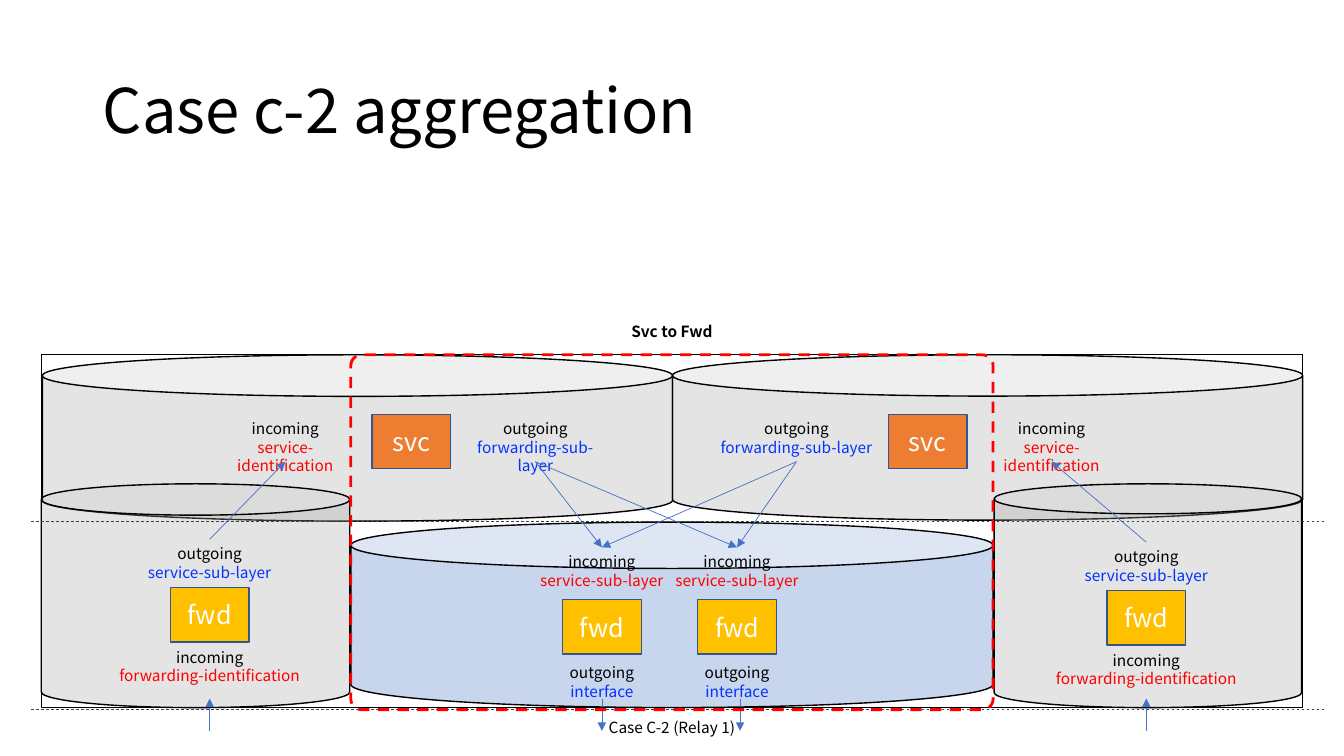
import pptx
import pptx.util
import pptx.dml.color
import pptx.enum.dml
import pptx.enum.shapes
import pptx.enum.text
import pptx.oxml
import pptx.oxml.ns

SHAPES = pptx.enum.shapes.MSO_SHAPE
ALIGN = pptx.enum.text.PP_ALIGN
ANCHOR = pptx.enum.text.MSO_ANCHOR
DASH = pptx.enum.dml.MSO_LINE.DASH
FONT = "Noto Sans CJK KR"
BLACK, WHITE, RED, BLUE = "000000", "FFFFFF", "FF0000", "0432FF"
GREY, CORE_BLUE, ARROW_BLUE, NODE_EDGE = "A5A5A5", "4472C4", "4472C4", "325491"
ORANGE, GOLD, LEVEL_GREY = "ED7D31", "FFC000", "404040"
NODE_WIDTH, NODE_HEIGHT, LABEL_HEIGHT = 7.8, 5.4, 4.7

deck = pptx.Presentation()
deck.slide_width = pptx.util.Inches(13.33)
deck.slide_height = pptx.util.Inches(7.5)
page = deck.slides.add_slide(deck.slide_layouts[5])


def grid(cells):
    """Length of a number of grid cells, each a tenth of an inch."""
    return pptx.util.Inches(cells / 10)


def color(value):
    return pptx.dml.color.RGBColor.from_string(value)


def style_text(para, size, fill, align=ALIGN.CENTER, bold=False):
    para.alignment = align
    for span in para.runs:
        span.font.name = FONT
        span.font.size = pptx.util.Pt(size)
        span.font.bold = bold
        span.font.color.rgb = color(fill)


def add_box(kind, box, line, width=1, fill=None, alpha=None, adjust=None, dash=None):
    shape = page.shapes.add_shape(kind, *map(grid, box))
    shape.shadow.inherit = False
    if adjust is not None:
        shape.adjustments[0] = adjust
    if fill is None:
        shape.fill.background()
    else:
        shape.fill.solid()
        shape.fill.fore_color.rgb = color(fill)
    if alpha is not None:
        tint = shape.fill._xPr.find(".//" + pptx.oxml.ns.qn("a:srgbClr"))
        tint.append(pptx.oxml.parse_xml(
            f'<a:alpha {pptx.oxml.ns.nsdecls("a")} val="{alpha * 1000}"/>'))
    shape.line.color.rgb = color(line)
    shape.line.width = pptx.util.Pt(width)
    if dash:
        shape.line.dash_style = dash
    return shape


def add_can(box, fill=GREY, adjust=0.25):
    add_box(SHAPES.CAN, box, BLACK, fill=fill, alpha=29, adjust=adjust)


def add_node(center, top, name, fill):
    box = (center - NODE_WIDTH / 2, top, NODE_WIDTH, NODE_HEIGHT)
    node = add_box(SHAPES.RECTANGLE, box, NODE_EDGE, fill=fill)
    node.text_frame.text = name
    node.text_frame.vertical_anchor = ANCHOR.MIDDLE
    style_text(node.text_frame.paragraphs[0], 18, WHITE)


def add_label(center, top, width, lines, colors, bold=False, height=LABEL_HEIGHT):
    label = page.shapes.add_textbox(*map(grid, (center - width / 2, top, width, height)))
    frame = label.text_frame
    frame.word_wrap = True
    frame.auto_size = pptx.enum.text.MSO_AUTO_SIZE.SHAPE_TO_FIT_TEXT
    frame.text = "\n".join(lines)
    for para, fill in zip(frame.paragraphs, colors):
        para.line_spacing = pptx.util.Pt(13.2)
        style_text(para, 11, fill, bold=bold)


def add_incoming(center, top, width, detail):
    add_label(center, top, width, ["incoming", detail], [BLACK, RED])


def add_outgoing(center, top, width, detail):
    add_label(center, top, width, ["outgoing", detail], [BLACK, BLUE])


def add_line(start, end, line=ARROW_BLUE, dash=None, arrow=True):
    link = page.shapes.add_connector(
        pptx.enum.shapes.MSO_CONNECTOR.STRAIGHT, *map(grid, (*start, *end)))
    link.line.color.rgb = color(line)
    link.line.width = pptx.util.Pt(0.5)
    if dash:
        link.line.dash_style = dash
    names = pptx.oxml.ns.nsdecls("a")
    if arrow:
        link.line._get_or_add_ln().append(
            pptx.oxml.parse_xml(f'<a:tailEnd {names} type="triangle"/>'))
    link._element.spPr.append(pptx.oxml.parse_xml(f"<a:effectLst {names}/>"))


def draw_title(box):
    title = page.shapes.title
    title.left, title.top, title.width, title.height = map(grid, box)
    title.text_frame.text = "Case c-2 aggregation"
    title.text_frame.vertical_anchor = ANCHOR.MIDDLE
    para = title.text_frame.paragraphs[0]
    para.line_spacing = 0.9
    style_text(para, 44, BLACK, ALIGN.LEFT)


def draw_service(box, node, incoming, outgoing, outgoing_width):
    """Service domain; returns the link points under its two labels."""
    left, top = box[:2]
    add_can(box)
    add_node(left + node, top + 5.9, "svc", ORANGE)
    # Narrow enough to break after the hyphen, clear of the relay boundary
    add_incoming(left + incoming, top + 5.9, 16.5, "service-identification")
    add_outgoing(left + outgoing, top + 5.9, outgoing_width, "forwarding-sub-layer")
    return (left + incoming, top + 10.6), (left + outgoing, top + 10.6)


def draw_edge(box, center, drop, adjust):
    """Forwarding domain at one side; returns the link point above it."""
    middle, top = box[0] + center, box[1] + drop
    add_can(box, adjust=adjust)
    add_outgoing(middle, top + 5.5, 19, "service-sub-layer")
    add_node(middle, top + 10.3, "fwd", GOLD)
    add_incoming(middle, top + 15.8, 20.2, "forwarding-identification")
    add_line((middle, box[1] + 24.5), (middle, box[1] + 21.3))
    return middle, top + 5.5


def draw_core(box, columns):
    """Shared forwarding domain; returns the link points above its columns."""
    left, top = box[:2]
    add_can(box, CORE_BLUE)
    for center, exit_at in columns:
        add_incoming(left + center, top + 2.5, 15.2, "service-sub-layer")
        add_node(left + center, top + 7.7, "fwd", GOLD)
        add_outgoing(left + center, top + 13.5, 9.8, "interface")
        add_line((left + exit_at, top + 17.5), (left + exit_at, top + 20.7))
    return [(left + center, top + 2.5) for center, _ in columns]


def draw_frame(box):
    """Outer frame, level lines and the two captions."""
    left, top, width, height = box
    add_box(SHAPES.RECTANGLE, box, BLACK)
    for level in (16.5, 35.2):
        add_line((left - 1, top + level), (left + width + 2.3, top + level),
                 LEVEL_GREY, DASH, arrow=False)
    middle = left + width / 2
    add_label(middle, top - 3.7, 17, ["Svc to Fwd"], [BLACK], True, height=2.9)
    add_label(middle, top + 35.5, 17, ["Case C-2 (Relay 1)"], [BLACK], height=2.9)


draw_title((9.2, 4, 115, 14.5))

# Domains
left_in, left_out = draw_service((4.2, 35.2, 62.5, 16.5), 36.6, 24.1, 48.9, 16.7)
right_in, right_out = draw_service((66.7, 35.2, 62.5, 16.4), 25.3, 37.6, 12.3, 17.8)
left_edge = draw_edge((4.1, 48, 30.6, 22.2), 16.7, 0, 0.14)
right_edge = draw_edge((98.6, 48, 30.5, 22.2), 15.1, 0.3, 0.134)
entries = draw_core((34.8, 51.8, 63.7, 18.4), [(24.9, 24.9), (38.3, 38.6)])
draw_frame((4.1, 35.2, 125.1, 35))

# Links between the layers
add_line(left_edge, left_in)
add_line(right_edge, right_in)
for source in (left_out, right_out):
    for entry in entries:
        add_line(source, entry)

# Relay boundary
add_box(SHAPES.ROUNDED_RECTANGLE, (34.8, 35.2, 63.7, 35.2), RED, 2, adjust=0.03, dash=DASH)

deck.save("out.pptx")
